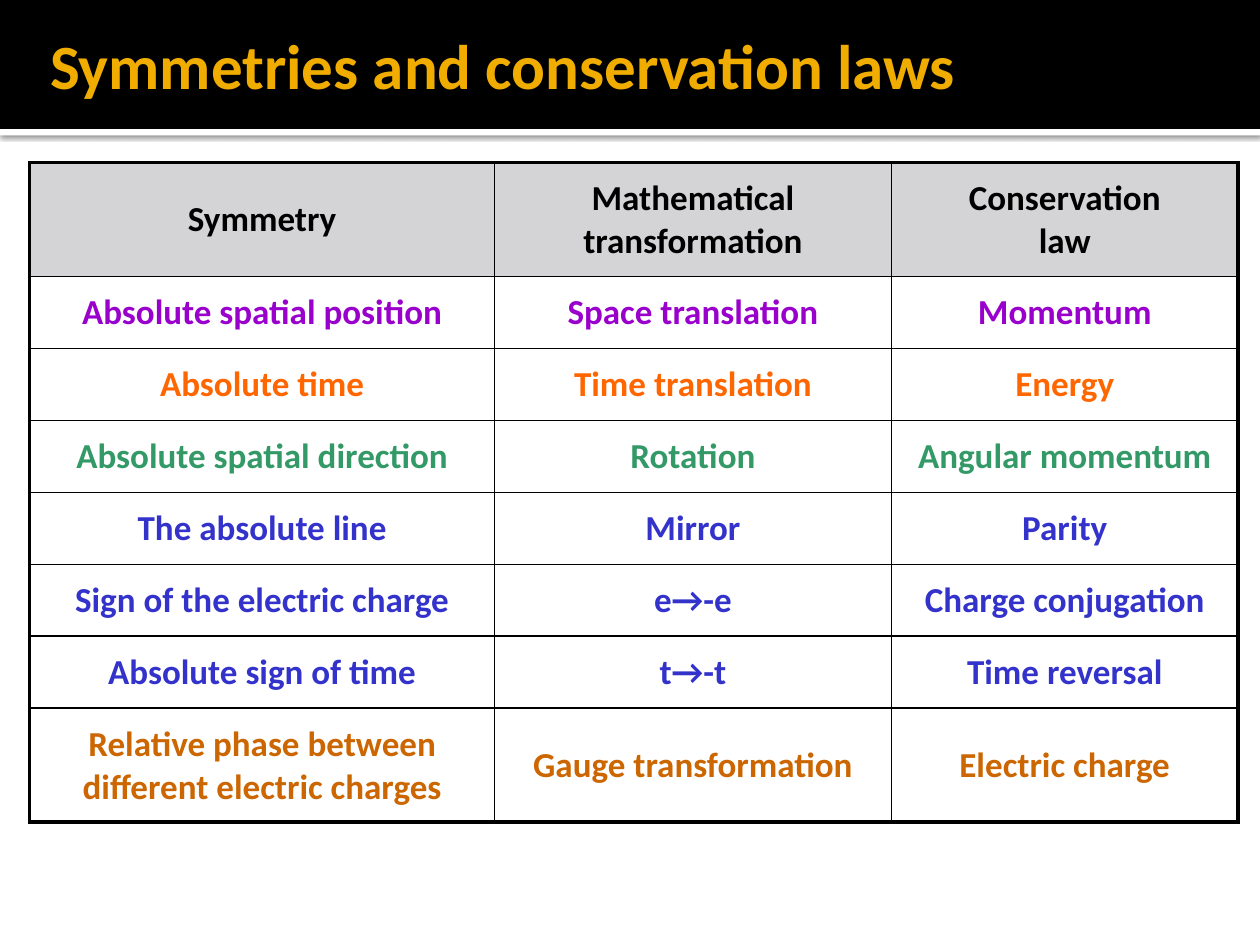
from lxml import etree
from pptx import Presentation
from pptx import util as u
from pptx.dml.color import RGBColor
from pptx.enum import shapes, text
from pptx.oxml import ns

BLACK = RGBColor(0x00, 0x00, 0x00)
WHITE = RGBColor(0xFF, 0xFF, 0xFF)
GOLD = RGBColor(0xF0, 0xAD, 0x00)
GRAY = RGBColor(0xD4, 0xD4, 0xD6)
PURPLE = RGBColor(0x99, 0x00, 0xCC)
ORANGE = RGBColor(0xFF, 0x66, 0x00)
GREEN = RGBColor(0x33, 0x99, 0x66)
BLUE = RGBColor(0x33, 0x33, 0xCC)
BROWN = RGBColor(0xCC, 0x66, 0x00)

THIN, THICK = u.Pt(1), u.Pt(2.25)
WIDTHS = [9.37, 8, 6.99]
TALL, SHORT = 2.29, 1.45
LAWS = [
    (BLACK, "Symmetry", "Mathematical transformation", "Conservation\vlaw"),
    (PURPLE, "Absolute spatial position", "Space translation", "Momentum"),
    (ORANGE, "Absolute time", "Time translation", "Energy"),
    (GREEN, "Absolute spatial direction", "Rotation", "Angular momentum"),
    (BLUE, "The absolute line", "Mirror", "Parity"),
    (BLUE, "Sign of the electric charge", "e→-e", "Charge conjugation"),
    (BLUE, "Absolute sign of time", "t→-t", "Time reversal"),
    (BROWN, "Relative phase between different electric charges",
     "Gauge transformation", "Electric charge"),
]


def put(item, attrs):
    """Set each attribute of an item from a dict."""
    for name, value in attrs.items():
        setattr(item, name, value)


def style(para, size, color):
    """Give a paragraph its bold face, size and colour."""
    put(para.font, {"name": "Calibri", "size": u.Pt(size), "bold": True})
    para.font.color.rgb = color


def bar(slide, box, color):
    """Draw a plain rectangle without outline or shadow."""
    rect = slide.shapes.add_shape(shapes.MSO_SHAPE.RECTANGLE, *box)
    rect.shadow.inherit = False
    rect.fill.solid()
    rect.fill.fore_color.rgb = color
    rect.line.fill.background()
    return rect


def shade(rect):
    """Cast a soft shadow below a rectangle."""
    glow = rect._element.spPr.find(ns.qn("a:effectLst"))
    outer = etree.SubElement(
        glow, ns.qn("a:outerShdw"), blurRad=str(u.Pt(2.5)),
        dist=str(u.Pt(0.8)), dir="5400000", algn="t", rotWithShape="0")
    tint = etree.SubElement(outer, ns.qn("a:srgbClr"), val=str(BLACK))
    etree.SubElement(tint, ns.qn("a:alpha"), val="60000")


def header(slide, left, top, width, height, title):
    """Draw the black title band with its white rule."""
    shade(bar(slide, (left, top + height, width, u.Cm(0.13)), WHITE))
    bar(slide, (left, top, width, height), BLACK)
    box = slide.shapes.add_textbox(
        left + u.Cm(0.76), top, width - u.Cm(1.32), height)
    frame = box.text_frame
    put(frame, {"word_wrap": True, "text": title,
                "vertical_anchor": text.MSO_ANCHOR.MIDDLE,
                "margin_left": u.Cm(0.25), "margin_right": u.Cm(0.13),
                "margin_top": u.Cm(0.13), "margin_bottom": u.Cm(0.13)})
    style(frame.paragraphs[0], 36, GOLD)


def edge(cell, sides):
    """Add black borders of the given widths before the cell fill."""
    props = cell._tc.get_or_add_tcPr()
    for spot, (side, width) in enumerate(sides.items()):
        line = etree.Element(ns.qn("a:ln" + side), w=str(width))
        fill = etree.SubElement(line, ns.qn("a:solidFill"))
        etree.SubElement(fill, ns.qn("a:srgbClr"), val=str(BLACK))
        props.insert(spot, line)


def grid(slide, left, top, rows):
    """Build the table of symmetries with a thick outer frame."""
    last, end = len(rows) - 1, len(WIDTHS) - 1
    tall = [TALL if r in (0, last) else SHORT for r in range(len(rows))]
    table = slide.shapes.add_table(
        len(rows), len(WIDTHS), left, top,
        u.Cm(sum(WIDTHS)), u.Cm(sum(tall))).table
    for col, width in zip(table.columns, WIDTHS):
        col.width = u.Cm(width)
    for r, (color, *words) in enumerate(rows):
        table.rows[r].height = u.Cm(tall[r])
        for c, word in enumerate(words):
            cell = table.cell(r, c)
            put(cell, {"vertical_anchor": text.MSO_ANCHOR.MIDDLE,
                       "margin_left": u.Cm(0.25), "margin_right": u.Cm(0.25),
                       "margin_top": u.Cm(0.3), "margin_bottom": u.Cm(0.3)})
            cell.fill.solid()
            cell.fill.fore_color.rgb = WHITE if r else GRAY
            edge(cell, {"L": THIN if c else THICK,
                        "R": THICK if c == end else THIN,
                        "T": THIN if r else THICK,
                        "B": THICK if r == last else THIN})
            cell.text_frame.text = word
            para = cell.text_frame.paragraphs[0]
            para.alignment = text.PP_ALIGN.CENTER
            for run in para.runs:
                style(run, 20, color)


def main():
    """Build and save the slide."""
    deck = Presentation()
    put(deck, {"slide_width": u.Cm(25.4), "slide_height": u.Cm(19.05)})
    slide = deck.slides.add_slide(deck.slide_layouts[6])
    header(slide, 0, 0, deck.slide_width, u.Cm(2.6),
           "Symmetries and conservation laws")
    grid(slide, u.Cm(0.6), u.Cm(3.28), LAWS)
    deck.save("out.pptx")


if __name__ == "__main__":
    main()
